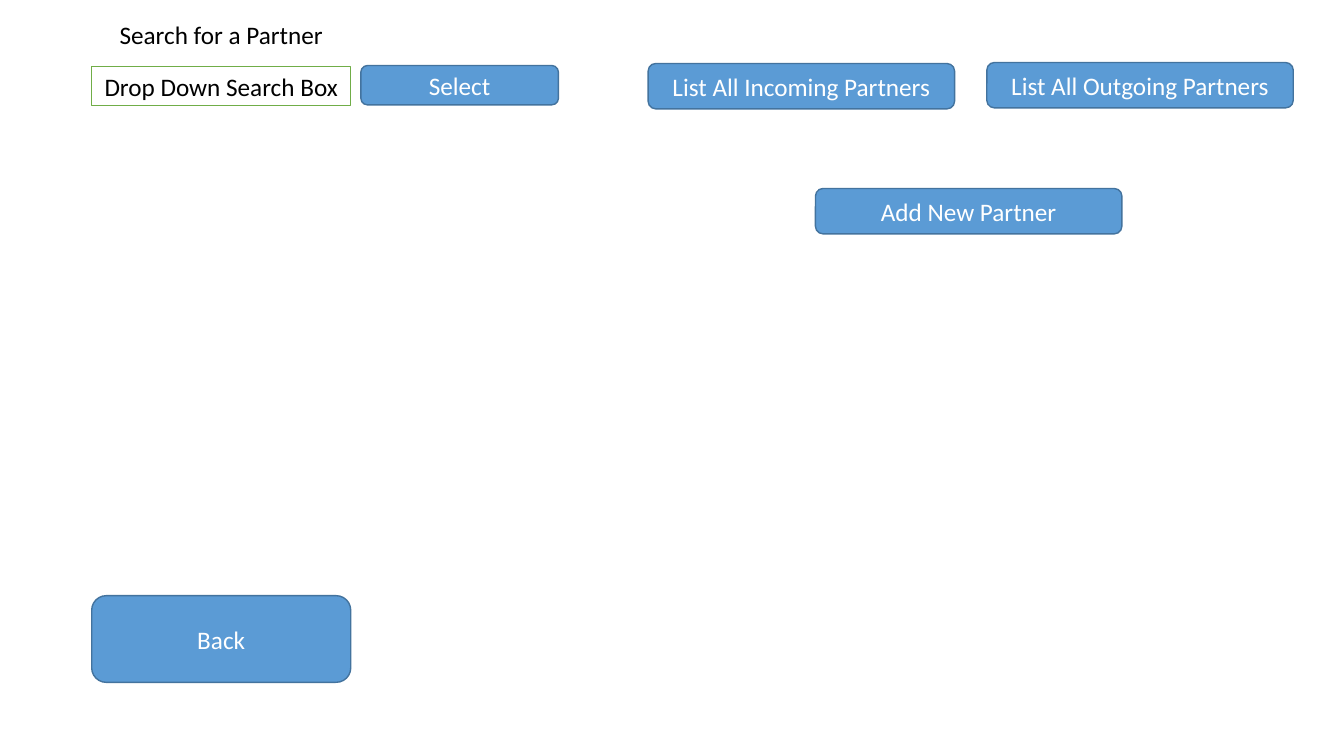
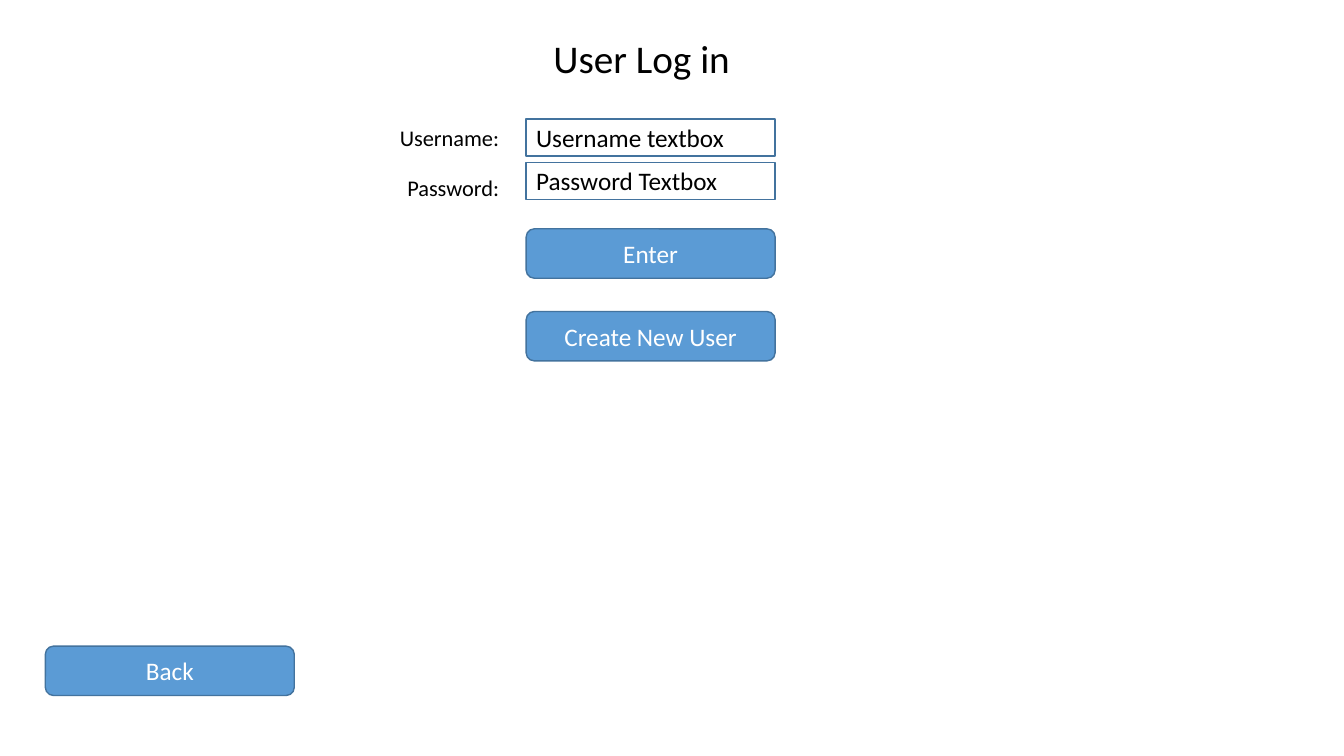
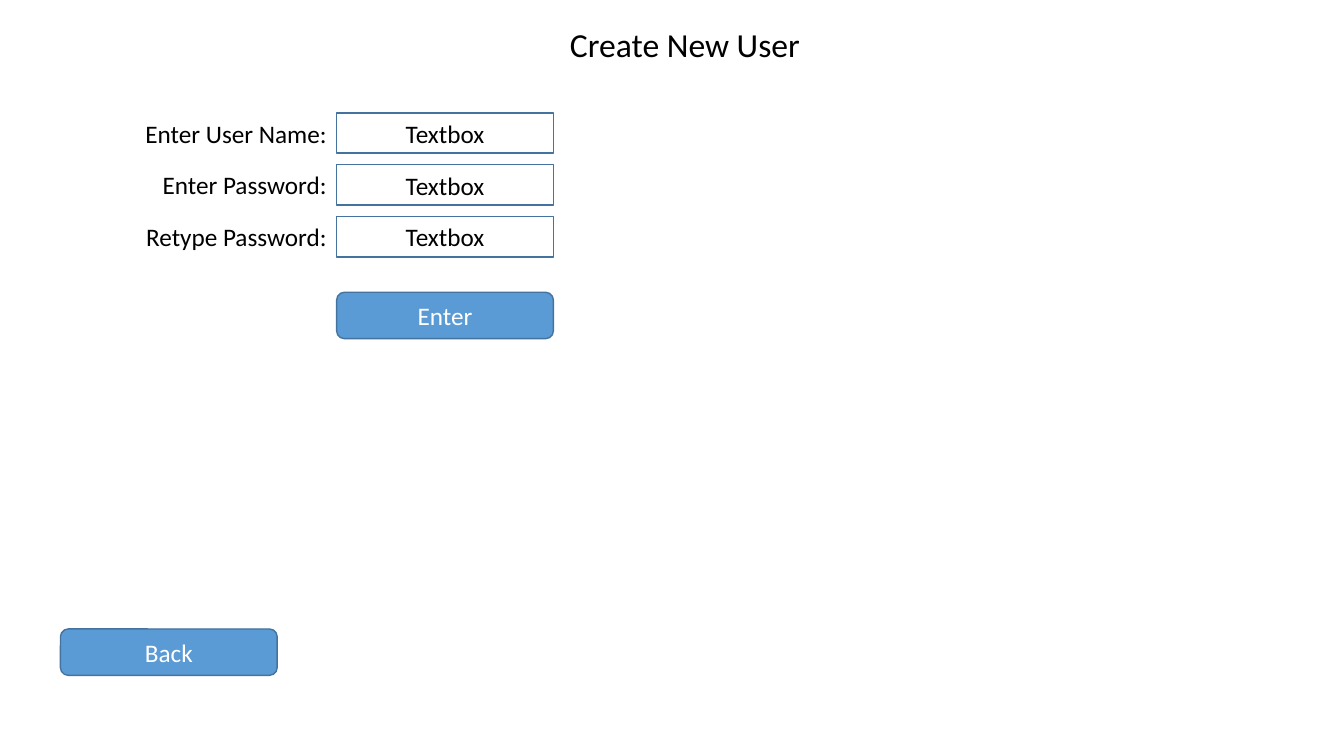
from pptx import Presentation
from pptx.dml.color import RGBColor
from pptx.enum.shapes import MSO_SHAPE
from pptx.enum.text import MSO_ANCHOR, PP_ALIGN
from pptx.util import Inches, Pt

RECTANGLE = MSO_SHAPE.RECTANGLE
ROUNDED = MSO_SHAPE.ROUNDED_RECTANGLE
TOP, MIDDLE = MSO_ANCHOR.TOP, MSO_ANCHOR.MIDDLE
LEFT, CENTER, RIGHT = PP_ALIGN.LEFT, PP_ALIGN.CENTER, PP_ALIGN.RIGHT

COLORS = {
    "button": "5B9BD5",
    "outline": "43739E",
    "search": "70AD47",
    "text": "000000",
    "light": "FFFFFF",
}
FONT = "Calibri"
BODY_SIZE = 18
COLUMNS, ROWS = 133.33, 75
SLIDE_WIDTH, SLIDE_HEIGHT = Inches(13.33), Inches(7.5)


class Wireframe:
    def __init__(self):
        self.presentation = Presentation()
        self.presentation.slide_width = SLIDE_WIDTH
        self.presentation.slide_height = SLIDE_HEIGHT
        self.slide = None

    def new_slide(self):
        self.slide = self.presentation.slides.add_slide(self.presentation.slide_layouts[6])

    def place(self, column, row, width, height):
        column_width, row_height = SLIDE_WIDTH / COLUMNS, SLIDE_HEIGHT / ROWS
        return (round(column * column_width), round(row * row_height),
                round(width * column_width), round(height * row_height))

    def set_text(self, shape, text, color, align, anchor, size=BODY_SIZE):
        frame = shape.text_frame
        frame.word_wrap = True
        frame.vertical_anchor = anchor
        frame.text = text
        paragraph = frame.paragraphs[0]
        paragraph.alignment = align
        for run in paragraph.runs:
            run.font.name = FONT
            run.font.size = Pt(size)
            run.font.color.rgb = RGBColor.from_string(COLORS[color])

    def box(self, kind, area, fill, line):
        shape = self.slide.shapes.add_shape(kind, *self.place(*area))
        shape.shadow.inherit = False
        if fill:
            shape.fill.solid()
            shape.fill.fore_color.rgb = RGBColor.from_string(COLORS[fill])
        else:
            shape.fill.background()
        shape.line.color.rgb = RGBColor.from_string(COLORS[line])
        shape.line.width = Pt(1)
        return shape

    def button(self, text, *area):
        self.set_text(self.box(ROUNDED, area, "button", "outline"), text, "light", CENTER, MIDDLE)

    def field(self, text, *area, align=CENTER, fill=None, line="outline"):
        self.set_text(self.box(RECTANGLE, area, fill, line), text, "text", align, MIDDLE)

    def label(self, text, *area, align=CENTER, size=BODY_SIZE):
        shape = self.slide.shapes.add_textbox(*self.place(*area))
        self.set_text(shape, text, "text", align, TOP, size)


def build_partner_search(wireframe):
    margin, search_width = 9.1, 25.7
    list_width, list_height = 30.4, 4.5
    wireframe.new_slide()
    wireframe.field("Drop Down Search Box", margin, 6.6, search_width, 3.9,
                    fill="light", line="search")
    wireframe.label("Search for a Partner", margin, 1.4, search_width, 4.2)
    wireframe.button("Select", 35.8, 6.5, 19.6, 3.9)
    wireframe.button("Back", margin, 59.1, search_width, 8.6)
    for text, column, row in (
        ("List All Incoming Partners", 64.3, 6.3),
        ("List All Outgoing Partners", 97.9, 6.2),
        ("Add New Partner", 80.9, 18.7),
    ):
        wireframe.button(text, column, row, list_width, list_height)


def build_login(wireframe):
    form_column, form_width, button_height = 52.2, 24.7, 4.9
    top, line_height = 11.8, 3.7
    wireframe.new_slide()
    wireframe.label("User Log in", 50.5, 2.9, 26.3, 5.7, size=28)
    for index, (caption, content) in enumerate((
        ("Username:", "Username textbox"),
        ("Password:", "Password Textbox"),
    )):
        wireframe.label(caption, 24.2, top + index * 5, 26.3, line_height, align=RIGHT, size=16)
        wireframe.field(content, form_column, top + index * 4.3, form_width, line_height, align=LEFT)
    for text, column, row in (
        ("Enter", form_column, 22.7),
        ("Create New User", form_column, 30.9),
        ("Back", 4.5, 64.1),
    ):
        wireframe.button(text, column, row, form_width, button_height)


def build_new_user(wireframe):
    form_column, form_width, button_height = 33.4, 21.5, 4.6
    top, pitch, line_height = 11.2, 5.15, 4
    label_width = 20.6
    wireframe.new_slide()
    wireframe.label("Create New User", 54.9, 1.9, 26.1, 5, size=24)
    for index, caption in enumerate(("Enter User Name:", "Enter Password:", "Retype Password:")):
        row = top + index * pitch
        wireframe.label(caption, form_column - label_width, row, label_width, line_height, align=RIGHT)
        wireframe.field("Textbox", form_column, row, form_width, line_height)
    wireframe.button("Enter", form_column, 29, form_width, button_height)
    wireframe.button("Back", 6, 62.4, form_width, button_height)


def main():
    wireframe = Wireframe()
    build_partner_search(wireframe)
    build_login(wireframe)
    build_new_user(wireframe)
    wireframe.presentation.save("out.pptx")


if __name__ == "__main__":
    main()
